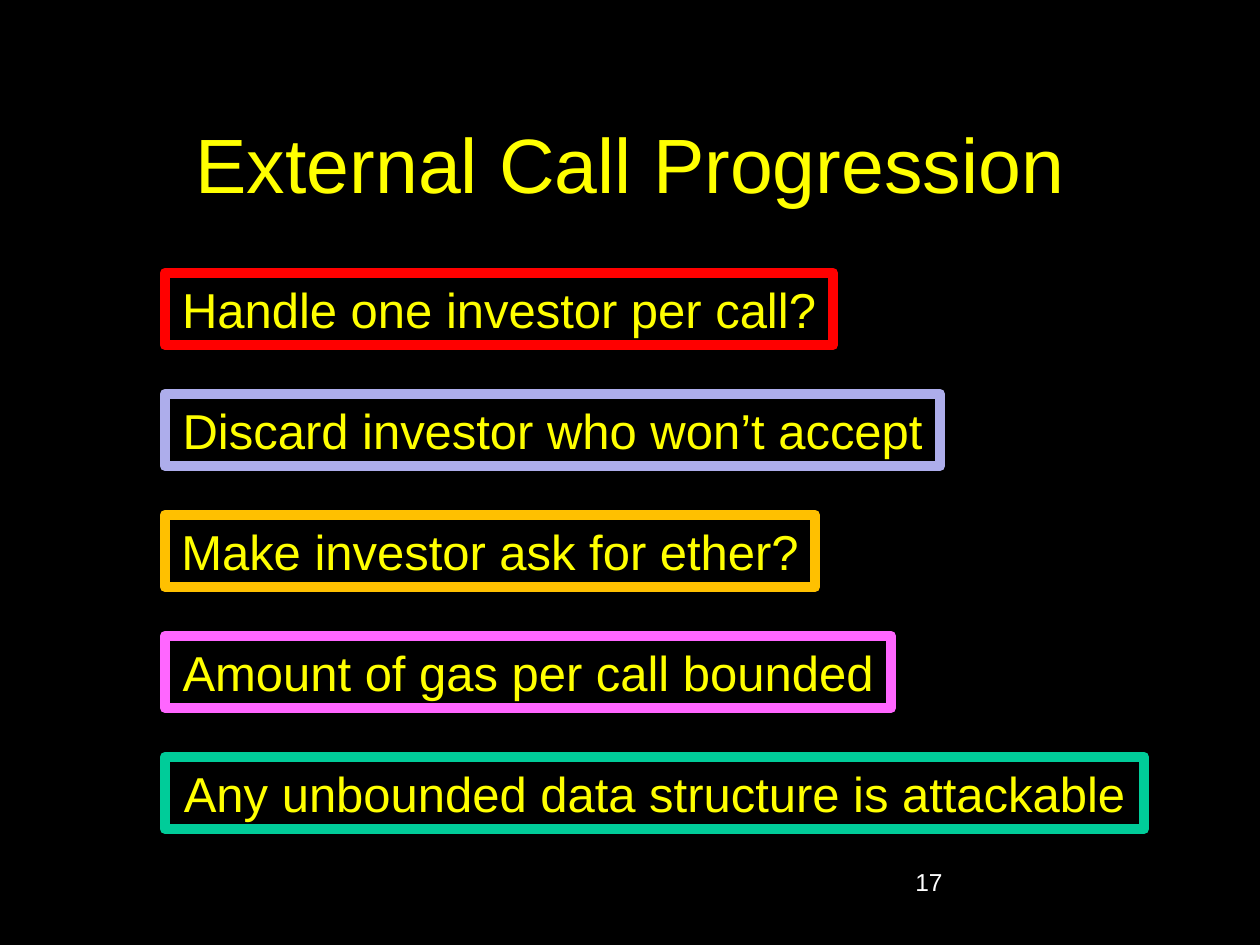
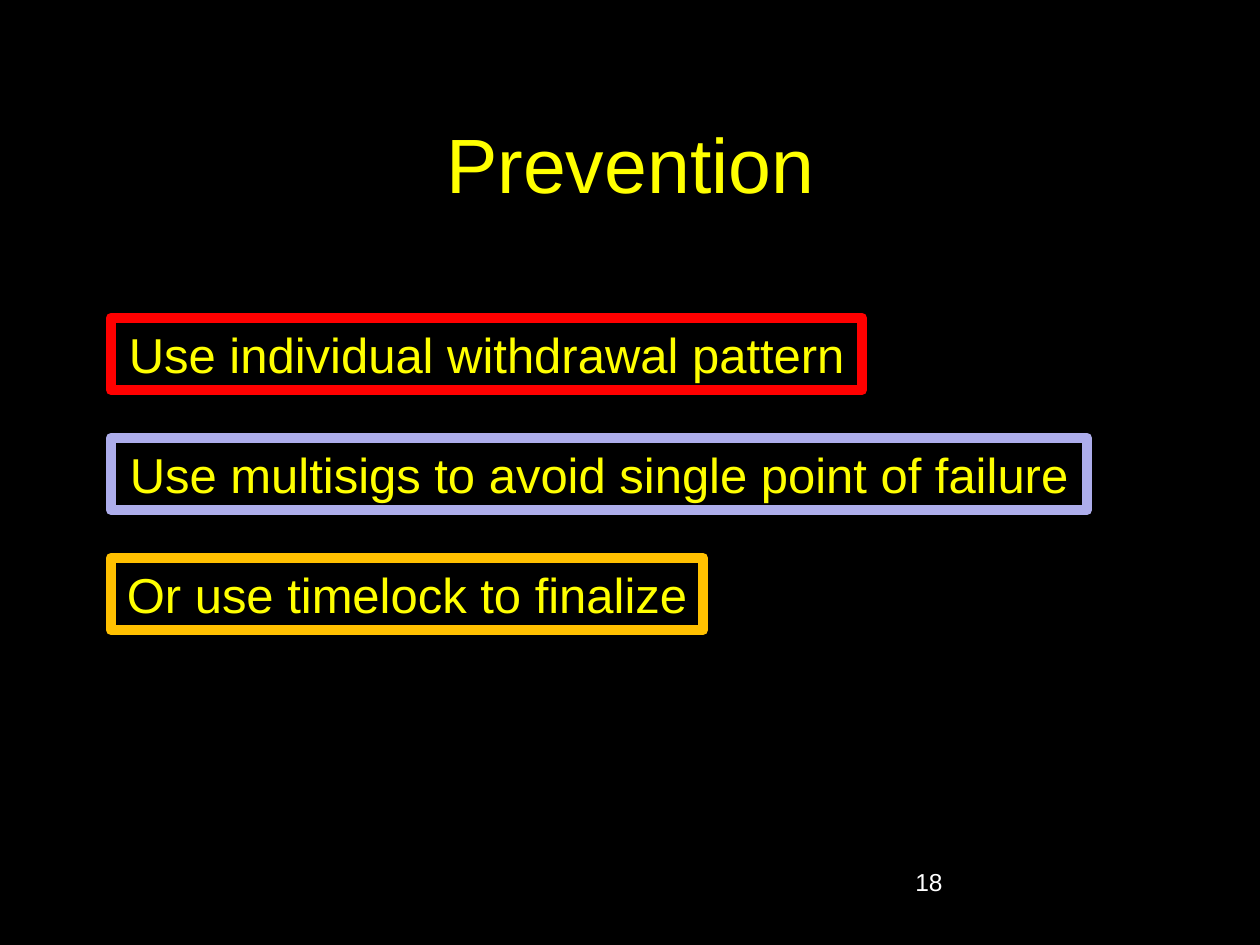
from pptx import Presentation
from pptx.dml.color import RGBColor
from pptx.enum.shapes import MSO_SHAPE
from pptx.enum.text import MSO_ANCHOR as ANCHOR, MSO_AUTO_SIZE as AUTO, PP_ALIGN as ALIGN
from pptx.util import Pt

EMU_PER_PX = 914400 / 126
FONT = "Arial"
BLACK, WHITE, YELLOW = "000000", "FFFFFF", "FFFF00"
FRAME_COLORS = ["FF0000", "ADADEB", "FFC000", "FF66FF", "00CC99"]
FRAME_HEIGHT = 72


def px(n):
    return round(n * EMU_PER_PX)


def rgb(color):
    return RGBColor.from_string(color)


def write(s, text, size, color=YELLOW, align=ALIGN.LEFT, anchor=ANCHOR.TOP, wrap=True):
    tf = s.text_frame
    tf.word_wrap = wrap
    tf.vertical_anchor = anchor
    p = tf.paragraphs[0]
    p.alignment = align
    r = p.add_run()
    r.text = text
    r.font.name = FONT
    r.font.size = Pt(size)
    r.font.color.rgb = rgb(color)


def add_text(slide, x, y, w, h, text, **fmt):
    write(slide.shapes.add_textbox(px(x), px(y), px(w), px(h)), text, **fmt)


def add_framed_point(slide, x, y, w, text, color):
    s = slide.shapes.add_shape(MSO_SHAPE.RECTANGLE, px(x), px(y), px(w), px(FRAME_HEIGHT))
    s.shadow.inherit = False
    s.fill.solid()
    s.fill.fore_color.rgb = rgb(BLACK)
    s.line.color.rgb = rgb(color)
    s.line.width = Pt(6)
    write(s, text, size=28, align=ALIGN.CENTER, wrap=False)
    s.text_frame.auto_size = AUTO.SHAPE_TO_FIT_TEXT


def add_points_slide(prs, title, number, points, left, top, pitch):
    """Add a titled slide with a column of (text, width) points."""
    slide = prs.slides.add_slide(prs.slide_layouts[6])
    fill = slide.background.fill
    fill.solid()
    fill.fore_color.rgb = rgb(BLACK)
    add_text(slide, 95, 84, 1071, 158, title, size=44,
             align=ALIGN.CENTER, anchor=ANCHOR.MIDDLE)
    add_text(slide, 903, 861, 262, 63, str(number), size=14, color=WHITE)
    for i, ((text, width), color) in enumerate(zip(points, FRAME_COLORS)):
        add_framed_point(slide, left, top + i * pitch, width, text, color)


def main():
    prs = Presentation()
    prs.slide_width, prs.slide_height = px(1260), px(945)
    add_points_slide(prs, "External Call Progression", 17, [
        ("Handle one investor per call?", 668),
        ("Discard investor who won’t accept", 775),
        ("Make investor ask for ether?", 650),
        ("Amount of gas per call bounded", 726),
        ("Any unbounded data structure is attackable", 979),
    ], left=165, top=273, pitch=121)
    add_points_slide(prs, "Prevention", 18, [
        ("Use individual withdrawal pattern", 751),
        ("Use multisigs to avoid single point of failure", 976),
        ("Or use timelock to finalize", 592),
    ], left=111, top=318, pitch=120)
    prs.save("out.pptx")


if __name__ == "__main__":
    main()
